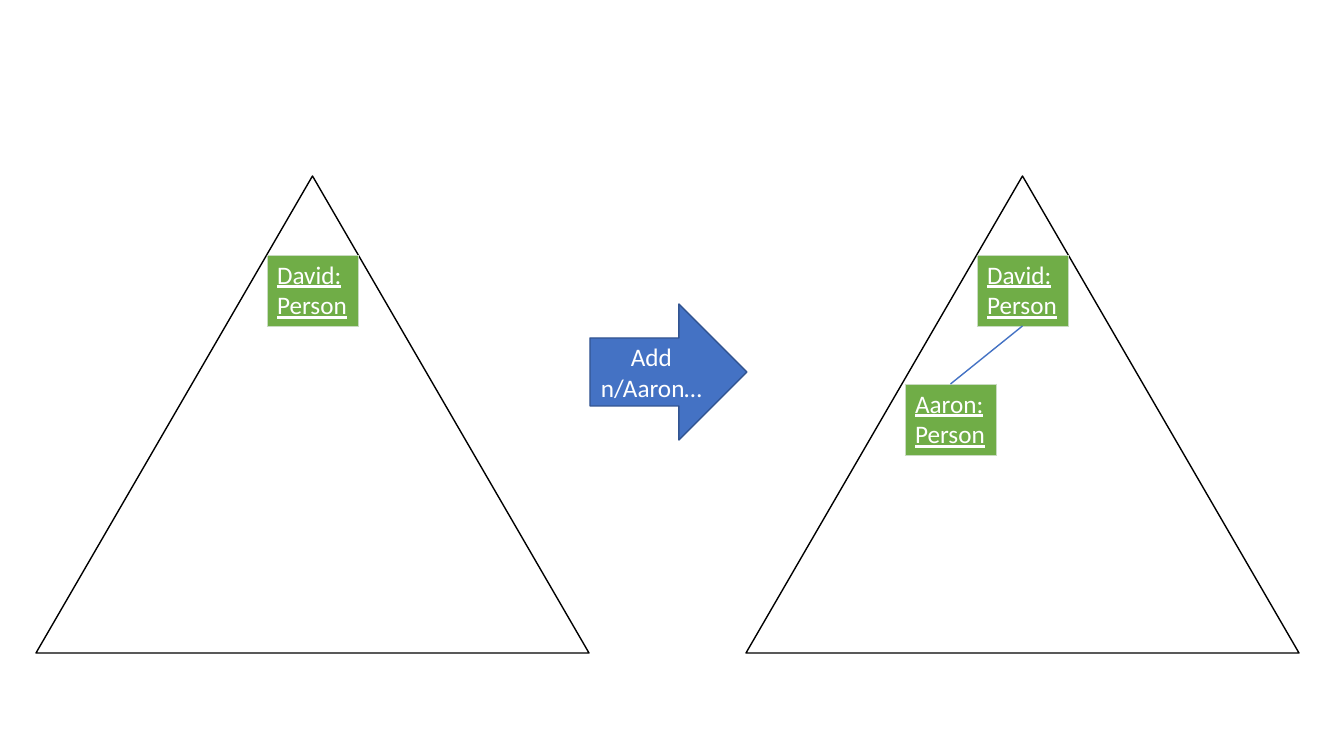
from lxml.etree import SubElement
from pptx import Presentation
from pptx.dml.color import RGBColor
from pptx.enum.shapes import MSO_CONNECTOR, MSO_SHAPE
from pptx.enum.text import MSO_ANCHOR, PP_ALIGN
from pptx.oxml import parse_xml
from pptx.oxml.ns import nsdecls, qn
from pptx.util import Emu, Pt

BLUE = RGBColor(0x44, 0x72, 0xC4)
DARK_BLUE = RGBColor(0x32, 0x54, 0x91)
GREEN = RGBColor(0x70, 0xAD, 0x47)
PALE_GREEN = RGBColor(0xC9, 0xDB, 0xC1)
BLACK = RGBColor(0, 0, 0)
WHITE = RGBColor(0xFF, 0xFF, 0xFF)

# Content: the tree before and after the command, nodes as (lines, x, y) in px
# with x and y measured from the triangle's top-left corner
DAVID = (["David:", "Person"], 231, 79)
AARON = (["Aaron:", "Person"], 159, 208)
TREES = [(36, [DAVID]), (746, [DAVID, AARON])]
COMMAND = ["Add", "n/Aaron…"]

# Layout in px
SLIDE_W, SLIDE_H = 1344, 756
TREE_TOP, TREE_W, TREE_H = 176, 553, 477
NODE_W, NODE_H = 91, 71
ARROW = (590, 304, 157, 136)
TEXT = {"name": "Calibri", "size": Pt(18), "bold": False}


def px(*lengths):
    return [Emu(round(n * 914400 / 100.8)) for n in lengths]


def write(tf, lines, align, underline):
    tf.word_wrap = True
    for i, line in enumerate(lines):
        p = tf.paragraphs[0] if i == 0 else tf.add_paragraph()
        p.alignment = align
        r = p.add_run()
        r.text = line
        for key, value in {**TEXT, "underline": underline}.items():
            setattr(r.font, key, value)
        r.font.color.rgb = WHITE


def add_outline(kind, box, line):
    sp = s.shapes.add_shape(kind, *px(*box))
    sp.shadow.inherit = False
    sp.fill.background()
    sp.line.color.rgb = line
    sp.line.width = Pt(1)
    return sp


def add_node(lines, x, y):
    table = s.shapes.add_table(1, 1, *px(x, y, NODE_W, NODE_H)).table
    table.first_row = table.horz_banding = False
    cell = table.cell(0, 0)
    cell.fill.solid()
    cell.fill.fore_color.rgb = GREEN
    tcPr = cell._tc.get_or_add_tcPr()
    for i, side in enumerate("LRTB"):
        tcPr.insert(i, parse_xml(
            f'<a:ln{side} {nsdecls("a")} w="{Pt(0.5)}"><a:solidFill>'
            f'<a:srgbClr val="{PALE_GREEN}"/></a:solidFill></a:ln{side}>'))
    write(cell.text_frame, lines, PP_ALIGN.LEFT, True)


prs = Presentation()
prs.slide_width, prs.slide_height = px(SLIDE_W, SLIDE_H)
s = prs.slides.add_slide(prs.slide_layouts[6])

# Trees, with each child node joined to the root
for left, nodes in TREES:
    add_outline(MSO_SHAPE.ISOSCELES_TRIANGLE, (left, TREE_TOP, TREE_W, TREE_H), BLACK)
    for lines, x, y in nodes:
        add_node(lines, left + x, TREE_TOP + y)
    root_x, root_y = nodes[0][1:]
    for _, x, y in nodes[1:]:
        link = s.shapes.add_connector(MSO_CONNECTOR.STRAIGHT, *px(
            left + root_x + NODE_W / 2, TREE_TOP + root_y + NODE_H,
            left + x + NODE_W / 2, TREE_TOP + y))
        link.line.color.rgb = BLUE
        link.line.width = Pt(1)
        SubElement(link._element.spPr, qn("a:effectLst"))

# Command arrow between the trees
arrow = add_outline(MSO_SHAPE.RIGHT_ARROW, ARROW, DARK_BLUE)
arrow.fill.solid()
arrow.fill.fore_color.rgb = BLUE
arrow.text_frame.vertical_anchor = MSO_ANCHOR.MIDDLE
write(arrow.text_frame, COMMAND, PP_ALIGN.CENTER, False)

prs.save("out.pptx")
